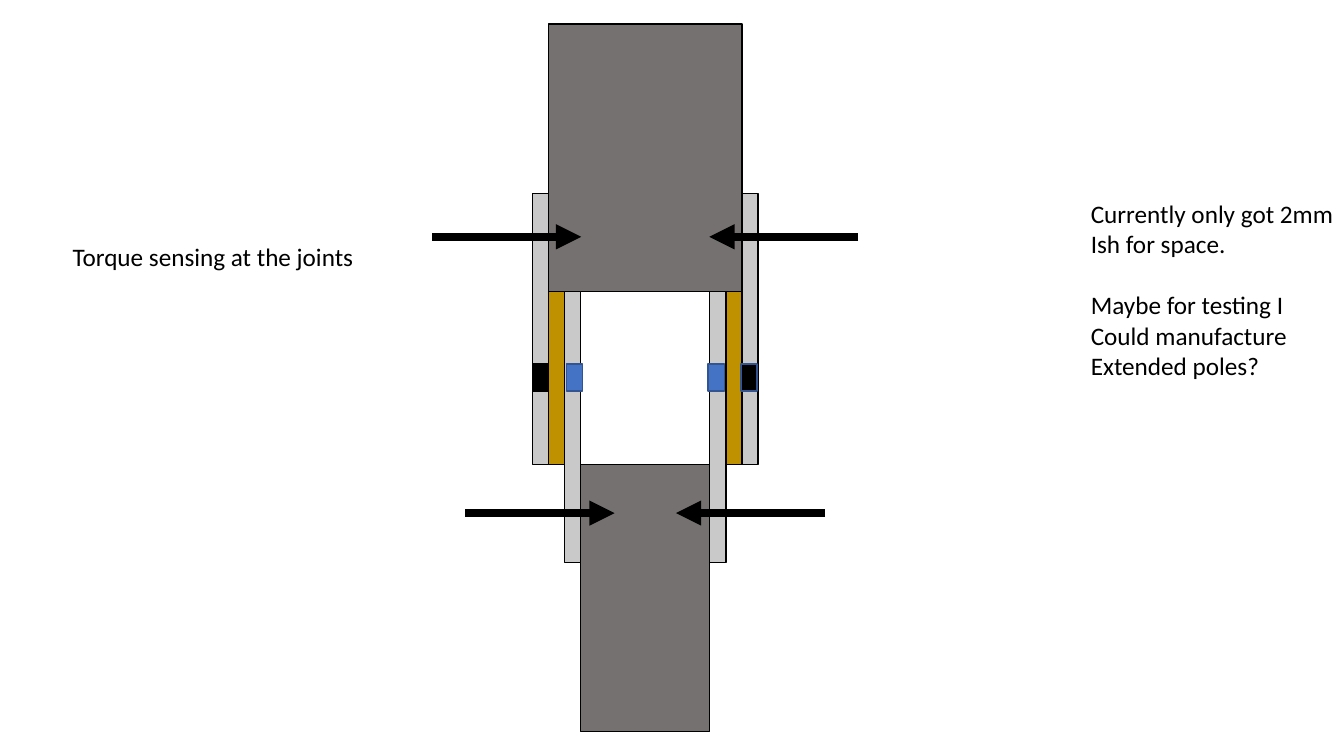
from pptx import Presentation
from pptx.dml.color import RGBColor
from pptx.enum.shapes import MSO_CONNECTOR, MSO_SHAPE
from pptx.enum.text import MSO_AUTO_SIZE
from pptx.oxml.ns import qn
from pptx.util import Inches, Pt
from lxml import etree

RECTANGLE = MSO_SHAPE.RECTANGLE
STRAIGHT = MSO_CONNECTOR.STRAIGHT
FIT_SHAPE = MSO_AUTO_SIZE.SHAPE_TO_FIT_TEXT

BLACK = RGBColor(0x00, 0x00, 0x00)
DARK_GRAY = RGBColor(0x76, 0x71, 0x71)
LIGHT_GRAY = RGBColor(0xC9, 0xC9, 0xC9)
BRASS = RGBColor(0xBF, 0x90, 0x00)
BLUE = RGBColor(0x44, 0x72, 0xC4)
DARK_BLUE = RGBColor(0x32, 0x54, 0x91)

# Grid: one column is the thickness of a plate; the joint mirrors about AXIS
COLUMN = 0.16
ROW = 0.24
AXIS = 40
LEFT, RIGHT = -1, 1
SIDES = (LEFT, RIGHT)

TEXT_FORMAT = {"name": "Calibri", "size": Pt(18)}
LINE_PITCH = Pt(22)


def across(columns):
    return Inches(columns * COLUMN)


def down(rows):
    return Inches(rows * ROW)


def add_part(slide, center, top, width, height, fill, outline=BLACK):
    """Add a rectangle whose center is given in columns from the axis."""
    shape = slide.shapes.add_shape(
        RECTANGLE, across(AXIS + center - width / 2), down(top),
        across(width), down(height))
    shape.shadow.inherit = False
    shape.fill.solid()
    shape.fill.fore_color.rgb = fill
    shape.line.color.rgb = outline
    shape.line.width = Pt(1)


def add_plate_pair(slide, offset, top, height, fill):
    for side in SIDES:
        add_part(slide, side * offset, top, 1, height, fill)


def add_force_pair(slide, start, end, row):
    """Add two arrows that point inwards from both sides."""
    for side in SIDES:
        arrow = slide.shapes.add_connector(
            STRAIGHT, across(AXIS + side * start), down(row),
            across(AXIS + side * end), down(row))
        arrow.line.color.rgb = BLACK
        arrow.line.width = Pt(6)
        properties = arrow._element.spPr
        head = etree.SubElement(properties.find(qn("a:ln")), qn("a:tailEnd"))
        head.set("type", "triangle")
        etree.SubElement(properties, qn("a:effectLst"))


def add_note(slide, left, top, width, height, blocks):
    """Add lines of text, with one line of space between blocks."""
    box = slide.shapes.add_textbox(
        across(left), down(top), across(width), down(height))
    frame = box.text_frame
    frame.word_wrap = False
    frame.auto_size = FIT_SHAPE
    paragraph = None
    for block in blocks:
        for index, line in enumerate(block):
            first = paragraph is None
            paragraph = frame.paragraphs[0] if first else frame.add_paragraph()
            if index == 0 and not first:
                paragraph.space_before = LINE_PITCH
            run = paragraph.add_run()
            run.text = line
            run.font.color.rgb = BLACK
            for name, value in TEXT_FORMAT.items():
                setattr(run.font, name, value)


def main():
    presentation = Presentation()
    presentation.slide_width = Inches(13.33)
    presentation.slide_height = Inches(7.5)
    slide = presentation.slides.add_slide(presentation.slide_layouts[6])

    # Upper and lower links
    add_part(slide, 0, 1, 12, 11.04, DARK_GRAY)
    add_part(slide, 0, 19.21, 8, 11.04, DARK_GRAY)

    # Inner plates, outer plates and brass spacers
    add_plate_pair(slide, 4.5, 12.04, 11.21, LIGHT_GRAY)
    add_plate_pair(slide, 6.5, 8, 11.21, LIGHT_GRAY)
    add_plate_pair(slide, 5.5, 12.04, 7.17, BRASS)

    # Clamping forces
    add_force_pair(slide, 11.15, 1.9, 21.21)
    add_force_pair(slide, 13.19, 3.97, 9.79)

    # Joint pins
    for center, fill, outline in (
            (-4.4, BLUE, DARK_BLUE), (4.4, BLUE, DARK_BLUE),
            (6.44, BLACK, DARK_BLUE), (-6.5, BLACK, BLACK)):
        add_part(slide, center, 15.04, 1, 1.12, fill, outline)

    # Notes
    add_note(slide, 3.88, 9.79, 18.88, 1.67,
             [["Torque sensing at the joints"]])
    add_note(slide, 67, 8, 16.44, 8,
             [["Currently only got 2mm", "Ish for space."],
              ["Maybe for testing I", "Could manufacture", "Extended poles?"]])

    presentation.save("out.pptx")


if __name__ == "__main__":
    main()
